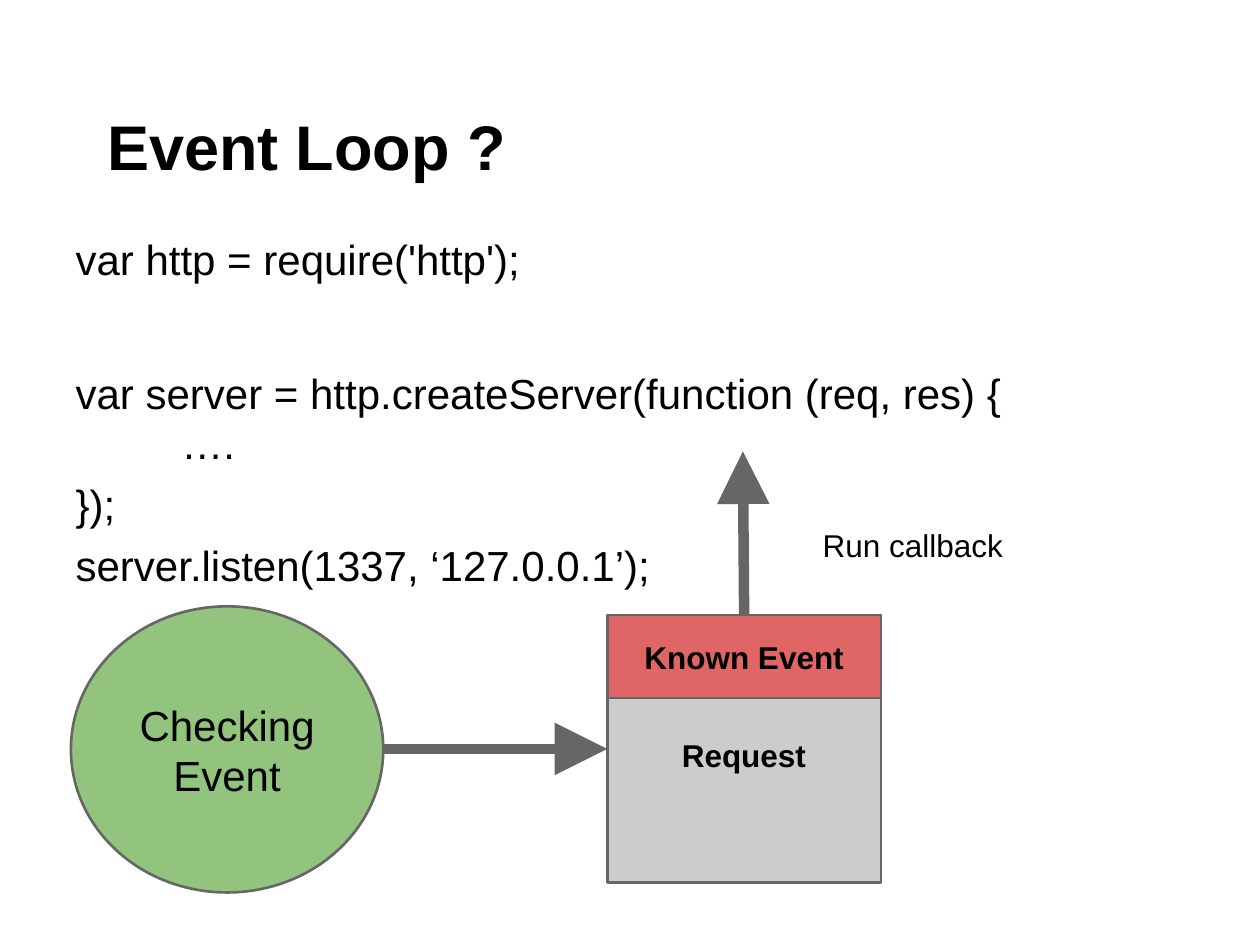
"""Build the Event Loop slide."""
from dataclasses import dataclass

from lxml.etree import SubElement as Sub
from pptx import Presentation
from pptx.dml.color import RGBColor as Rgb
from pptx.enum.shapes import MSO_CONNECTOR as Conn, MSO_SHAPE as Shape
from pptx.enum.text import MSO_ANCHOR as Anchor, MSO_AUTO_SIZE as Auto, PP_ALIGN as Align
from pptx.oxml.ns import qn
from pptx.util import Pt


@dataclass
class Theme:
    font: str = "Arial"
    ink: str = "000000"
    edge: str = "666666"
    green: str = "93C47D"
    gray: str = "CCCCCC"
    red: str = "E06666"
    head: int = 36
    text: int = 24
    note: int = 18
    rim: float = 1.5
    wire: int = 6


theme = Theme()


def write(shape, text, size, bold=False, align=Align.LEFT, anchor=Anchor.TOP):
    frame = shape.text_frame
    frame.text = text
    frame.word_wrap = True
    frame.auto_size = Auto.NONE
    frame.vertical_anchor = anchor
    frame.margin_left = frame.margin_right = Pt(7.2)
    frame.margin_top = frame.margin_bottom = Pt(7.2)
    for para in frame.paragraphs:
        para.alignment = align
        for run in para.runs:
            run.font.name = theme.font
            run.font.size = Pt(size)
            run.font.bold = bold
            run.font.color.rgb = Rgb.from_string(theme.ink)


deck = Presentation()
deck.slide_width, deck.slide_height = Pt(720), Pt(540)
slide = deck.slides.add_slide(deck.slide_layouts[1])
shapes = slide.shapes

title = shapes.title
title.left, title.top, title.width, title.height = Pt(36), Pt(21.6), Pt(648), Pt(90)
write(title, "Event Loop ?", theme.head, True, anchor=Anchor.BOTTOM)
title.text_frame.paragraphs[0]._p.get_or_add_pPr().set("indent", str(Pt(18)))

code = [
    ("var http = require('http');", 0, 6),
    ("var server = http.createServer(function (req, res) {", 0, 48),
    ("….", 60.5, 0),
    ("});", 0, 6),
    ("server.listen(1337, ‘127.0.0.1’);", 0, 6),
]
body = slide.placeholders[1]
body.left, body.top, body.width, body.height = Pt(36), Pt(126), Pt(648), Pt(391)
write(body, "\n".join(line for line, _, _ in code), theme.text)
for para, (_, left, gap) in zip(body.text_frame.paragraphs, code):
    para.space_before = Pt(gap)
    props = para._p.get_or_add_pPr()
    props.set("marL", str(Pt(left)))
    props.set("indent", "0")
    Sub(props, qn("a:buNone"))

nodes = [
    (Shape.OVAL, 40.5, 346.5, 178.5, 163.5, theme.green, "Checking Event", theme.text, False),
    (Shape.RECTANGLE, 347, 351.5, 156.5, 153, theme.gray, "", theme.note, True),
    (Shape.RECTANGLE, 347, 351.5, 156.5, 47.5, theme.red, "Known Event", theme.note, True),
]
made = []
for kind, x, y, w, h, fill, text, size, bold in nodes:
    node = shapes.add_shape(kind, Pt(x), Pt(y), Pt(w), Pt(h))
    node.shadow.inherit = False
    node.fill.solid()
    node.fill.fore_color.rgb = Rgb.from_string(fill)
    node.line.color.rgb = Rgb.from_string(theme.edge)
    node.line.width = Pt(theme.rim)
    write(node, text, size, bold, Align.CENTER, Anchor.MIDDLE)
    made.append(node)
loop, box, known = made

check = shapes.add_connector(Conn.STRAIGHT, Pt(219), Pt(428), Pt(347), Pt(428))
check.end_connect(box, 1)
call = shapes.add_connector(Conn.STRAIGHT, Pt(425), Pt(351.5), Pt(424.5), Pt(258))
call.begin_connect(known, 0)
for wire in (check, call):
    wire.line.color.rgb = Rgb.from_string(theme.edge)
    wire.line.width = Pt(theme.wire)
    Sub(wire.line._get_or_add_ln(), qn("a:tailEnd"), type="triangle", w="lg", len="lg")
    Sub(wire._element.spPr, qn("a:effectLst"))

notes = [
    ("Request", 382.5, 413.5, 101, True),
    ("Run callback", 463, 293.5, 156, False),
]
for text, x, y, w, bold in notes:
    note = shapes.add_textbox(Pt(x), Pt(y), Pt(w), Pt(36))
    write(note, text, theme.note, bold)

deck.save("out.pptx")
